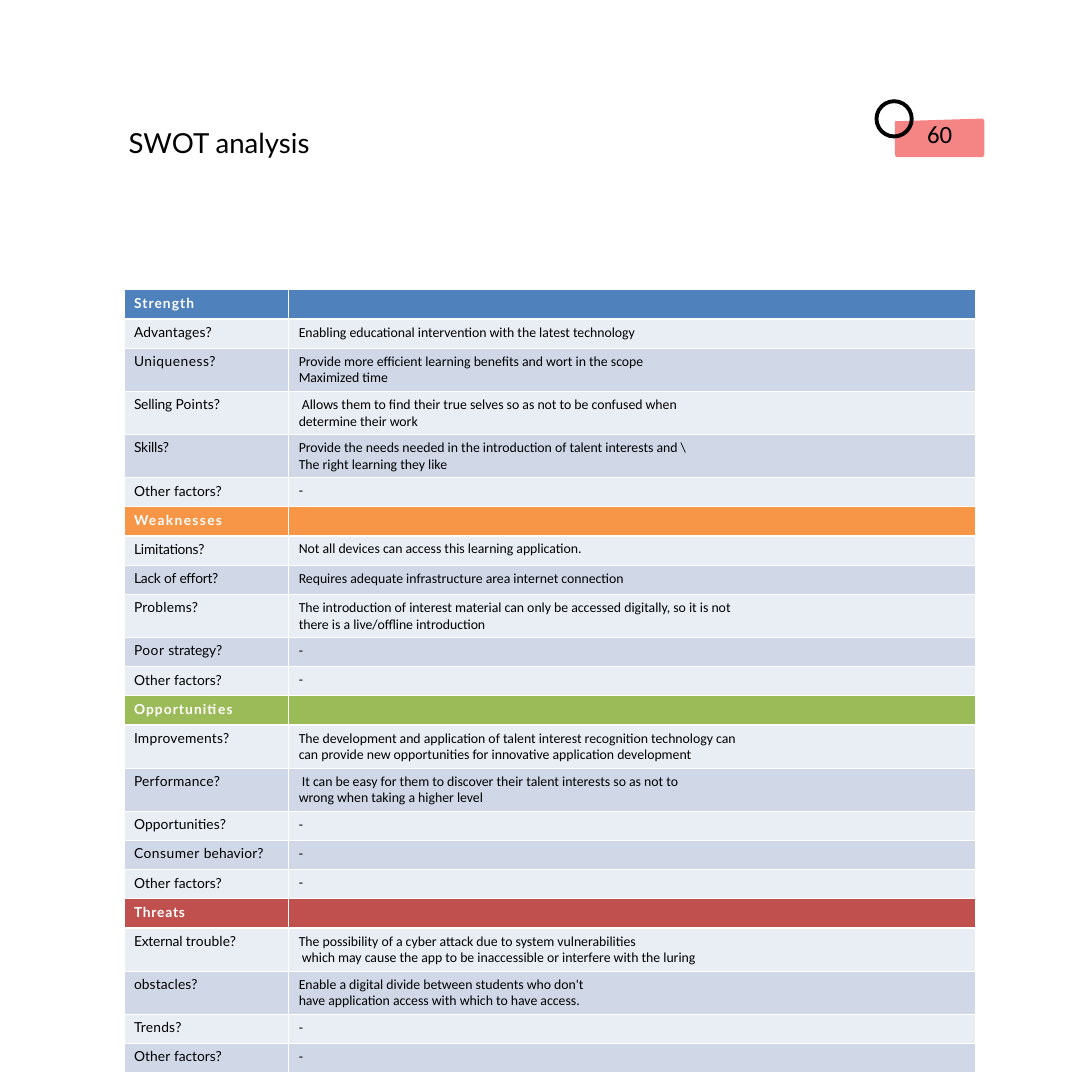
from lxml.etree import SubElement
from pptx import Presentation
from pptx.dml.color import RGBColor
from pptx.enum.shapes import MSO_SHAPE as Shape
from pptx.enum.text import PP_ALIGN as Align
from pptx.oxml.ns import qn
from pptx.util import Pt

# Content: section, its letter spacing, its questions as (label runs, answer lines)
TITLE = "SWOT analysis"
PAGE_NUMBER = "60"
NO_ANSWER = ["-"]
OTHER_FACTORS = ([("Other ", 0.1), ("factors?", 0)], NO_ANSWER)
SECTIONS = [
    ("Strength", 0.8, [
        ([("Advantages?", 0.1)],
         ["Enabling educational intervention with the latest technology"]),
        ([("Uniqueness?", 0.4)],
         ["Provide more efficient learning benefits and wort in the scope",
          "Maximized time"]),
        ([("Selling ", -0.1), ("Points?", 0.1)],
         [" Allows them to find their true selves so as not to be confused when",
          "determine their work"]),
        ([("Skills?", -0.1)],
         ["Provide the needs needed in the introduction of talent interests and \\",
          "The right learning they like"]),
        OTHER_FACTORS,
    ]),
    ("Weaknesses", 1, [
        ([("Limitations?", -0.1)],
         ["Not all devices can access this learning application."]),
        ([("Lack of ", -0.1), ("effort?", -0.2)],
         ["Requires adequate infrastructure area internet connection"]),
        ([("Problems?", 0.2)],
         ["The introduction of interest material can only be accessed digitally, so it is not",
          "there is a live/offline introduction"]),
        ([("Poor ", 0.4), ("strategy?", -0.1)], NO_ANSWER),
        OTHER_FACTORS,
    ]),
    ("Opportunities", 0.8, [
        ([("Improvements?", 0.2)],
         ["The development and application of talent interest recognition technology can ",
          "can provide new opportunities for innovative application development"]),
        ([("Performance", 0.2), ("?", 0.1)],
         [" It can be easy for them to discover their talent interests so as not to ",
          "wrong when taking a higher level"]),
        ([("Opportunities?", 0.1)], NO_ANSWER),
        ([("Consumer ", 0.4), ("behavior?", 0.1)], NO_ANSWER),
        OTHER_FACTORS,
    ]),
    ("Threats", 0.6, [
        ([("External ", -0.1), ("trouble?", 0.1)],
         ["The possibility of a cyber attack due to system vulnerabilities",
          " which may cause the app to be inaccessible or interfere with the luring"]),
        ([("obstacles?", 0.1)],
         ["Enable a digital divide between students who don't",
          "have application access with which to have access."]),
        ([("Trends?", 0.2)], NO_ANSWER),
        OTHER_FACTORS,
    ]),
]

# Layout, in points
SLIDE_SIDE = 792
TITLE_BOX = (92.2, 90, 212.4, 25.2)
TABLE_LEFT, TABLE_TOP = 90, 210.2
COLUMN_WIDTHS = (119.5, 498.2)
ROW_HEIGHTS = {1: 21.2, 2: 31.2}
RING_BOX = (634.3, 72, 28.4, 28.4)
BADGE_OUTLINE = [(648.7, 87.8), (712.8, 86.4), (714.2, 87.8), (714.2, 112.3),
                 (712.8, 113.8), (650.2, 113.8), (648.7, 112.3)]


class Theme:
    heading_font, body_font = "Lato", "Calibri"
    title_size, number_size, table_size = 20, 18, 10
    ink, paper, badge = "000000", "FFFFFF", "F58585"
    sections = ("4F81BD", "F79646", "9BBB59", "C0504D")
    stripes = ("E9EDF4", "D0D8E8")


def paint(fill, color):
    fill.solid()
    fill.fore_color.rgb = RGBColor.from_string(color)


def flatten(shape, color):
    paint(shape.fill, color)
    shape.line.fill.background()
    shape.shadow.inherit = False


def clear_margins(frame):
    frame.margin_left = frame.margin_right = frame.margin_top = frame.margin_bottom = 0


def add_run(paragraph, text, size, font, color=Theme.ink, bold=False, spacing=0):
    run = paragraph.add_run()
    run.text = text
    run.font.size, run.font.name, run.font.bold = Pt(size), font, bold
    run.font.color.rgb = RGBColor.from_string(color)
    if spacing:
        run._r.get_or_add_rPr().set("spc", str(round(spacing * 100)))


def fill_label(cell, runs, color=Theme.ink, bold=False):
    for text, spacing in runs:
        add_run(cell.text_frame.paragraphs[0], text, Theme.table_size,
                Theme.heading_font, color, bold, spacing)


def fill_answer(cell, lines):
    paragraph = cell.text_frame.paragraphs[0]
    for index, line in enumerate(lines):
        if index:
            paragraph.add_line_break()
        add_run(paragraph, line, Theme.table_size, Theme.body_font)
    # Keeps an empty cell as low as a filled one
    SubElement(paragraph._p, qn("a:endParaRPr"), sz=str(Theme.table_size * 100))


def add_title(slide):
    frame = slide.shapes.add_textbox(*map(Pt, TITLE_BOX)).text_frame
    frame.word_wrap = True
    clear_margins(frame)
    frame.margin_top, frame.margin_left = Pt(1.4), Pt(1)
    add_run(frame.paragraphs[0], TITLE, Theme.title_size, Theme.heading_font)


def add_page_badge(slide):
    builder = slide.shapes.build_freeform(*BADGE_OUTLINE[0], scale=Pt(1))
    builder.add_line_segments(BADGE_OUTLINE[1:], close=True)
    badge = builder.convert_to_shape()
    flatten(badge, Theme.badge)
    frame = badge.text_frame
    clear_margins(frame)
    frame.vertical_anchor = None
    paragraph = frame.paragraphs[0]
    paragraph.alignment = Align.CENTER
    add_run(paragraph, PAGE_NUMBER, Theme.number_size, Theme.body_font)

    ring = slide.shapes.add_shape(Shape.DONUT, *map(Pt, RING_BOX))
    ring.adjustments[0] = 0.1
    flatten(ring, Theme.ink)


def add_swot_table(slide):
    # One entry per row: fill, label runs, answer lines, whether it is a heading
    rows = []
    for (name, spacing, questions), color in zip(SECTIONS, Theme.sections):
        rows.append((color, [(name, spacing)], [], True))
        for index, (label, answer) in enumerate(questions):
            rows.append((Theme.stripes[index % 2], label, answer, False))
    heights = [ROW_HEIGHTS[max(1, len(answer))] for _, _, answer, _ in rows]

    table = slide.shapes.add_table(len(rows), len(COLUMN_WIDTHS), Pt(TABLE_LEFT), Pt(TABLE_TOP),
                                   Pt(sum(COLUMN_WIDTHS)), Pt(sum(heights))).table
    table.first_row = table.horz_banding = False
    for column, width in zip(table.columns, COLUMN_WIDTHS):
        column.width = Pt(width)
    for row, height, (color, label, answer, heading) in zip(table.rows, heights, rows):
        row.height = Pt(height)
        label_cell, answer_cell = row.cells
        for cell in (label_cell, answer_cell):
            paint(cell.fill, color)
        fill_label(label_cell, label, Theme.paper if heading else Theme.ink, heading)
        fill_answer(answer_cell, answer)


def main():
    presentation = Presentation()
    presentation.slide_width = presentation.slide_height = Pt(SLIDE_SIDE)
    slide = presentation.slides.add_slide(presentation.slide_layouts[6])
    add_title(slide)
    add_page_badge(slide)
    add_swot_table(slide)
    presentation.save("out.pptx")


if __name__ == "__main__":
    main()
